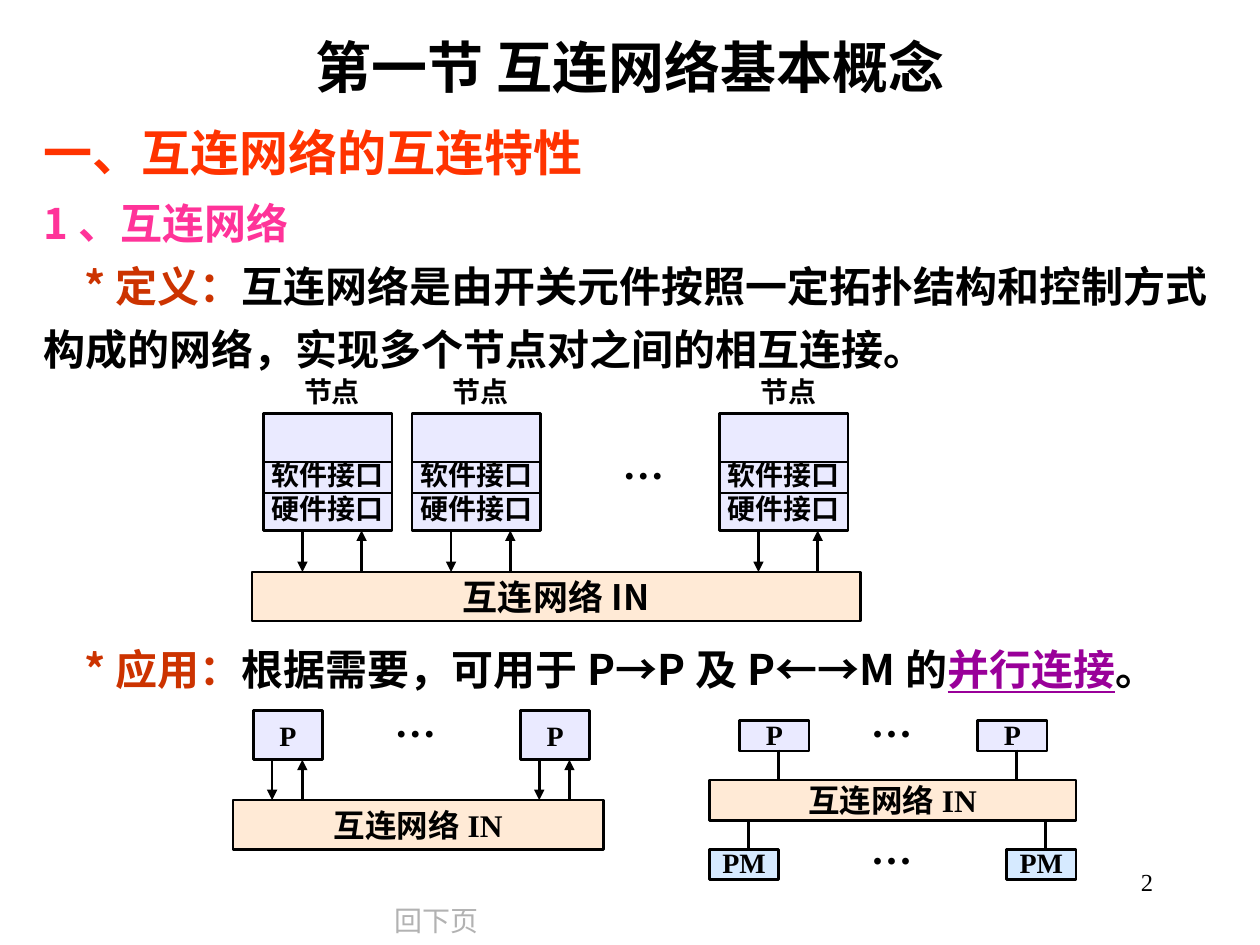
from dataclasses import dataclass

from lxml import etree
from pptx import Presentation
from pptx import util as u
from pptx.dml.color import RGBColor
from pptx.enum import shapes, text
from pptx.oxml import ns

LEFT, MID, RIGHT = text.PP_ALIGN.LEFT, text.PP_ALIGN.CENTER, text.PP_ALIGN.RIGHT


@dataclass(frozen=True)
class Theme:
    ink: str = "000000"
    head: str = "FF3300"
    topic: str = "FF3399"
    lead: str = "CC3300"
    key: str = "990099"
    faint: str = "B2B2B2"
    net: str = "FFCC99"
    node: str = "CCCCFF"
    mem: str = "99CCFF"
    sans: str = "Noto Sans CJK SC"
    serif: str = "Times New Roman"
    title: int = 32
    heading: int = 28
    body: int = 24
    bar: int = 20
    bus: int = 18
    label: int = 16
    number: int = 14
    edge: float = 1.5
    rule: float = 1.25


T = Theme()
WIDE, TIGHT = (0.1, 0.05), (0.02, 0.01)


def apply(obj, vals):
    for name, val in vals.items():
        setattr(obj, name, val)


def add_tag(parent, tag, **attrs):
    return etree.SubElement(parent, ns.qn(tag), **attrs)


def place(shape, at):
    names = ("left", "top", "width", "height")
    apply(shape, dict(zip(names, map(u.Inches, at))))


def add_run(para, words, size, color=T.ink, face=T.serif, **extra):
    run = para.add_run()
    run.text = words
    apply(run.font, {"name": face, "size": u.Pt(size), "bold": True, **extra})
    run.font.color.rgb = RGBColor.from_string(color)
    add_tag(run._r.get_or_add_rPr(), "a:ea", typeface=T.sans)


def write(shape, paras, pad=TIGHT, anchor=text.MSO_ANCHOR.TOP, wrap=True, **fmt):
    """Fill a shape; each paragraph is a list of (words, size, color, face) runs."""
    frame = shape.text_frame
    side, end = map(u.Inches, pad)
    apply(frame, {"margin_left": side, "margin_right": side, "margin_top": end,
                  "margin_bottom": end, "vertical_anchor": anchor,
                  "word_wrap": wrap, "auto_size": text.MSO_AUTO_SIZE.NONE})
    for i, runs in enumerate(paras):
        para = frame.add_paragraph() if i else frame.paragraphs[0]
        apply(para, {"alignment": LEFT, **fmt})
        for words, size, *look in runs:
            extra = look.pop() if len(look) == 3 else {}
            add_run(para, words, size, *look, **extra)


def add_text(slide, at, paras, **fmt):
    box = slide.shapes.add_textbox(*map(u.Inches, at))
    write(box, paras, **fmt)
    return box


def add_box(slide, at, color, words="", size=T.label, face=T.serif, **fmt):
    box = slide.shapes.add_shape(shapes.MSO_SHAPE.RECTANGLE, *map(u.Inches, at))
    box.shadow.inherit = False
    box.fill.solid()
    box.fill.fore_color.rgb = RGBColor.from_string(color)
    tint = box._element.spPr.find(ns.qn("a:solidFill"))[0]
    add_tag(tint, "a:alpha", val="40000")
    box.line.color.rgb = RGBColor.from_string(T.ink)
    box.line.width = u.Pt(T.edge)
    if words:
        write(box, [[(words, size, T.ink, face)]], alignment=MID,
              anchor=text.MSO_ANCHOR.MIDDLE, **fmt)


def add_line(slide, x, y, to_x, to_y, width=T.edge, arrow=False):
    line = slide.shapes.add_connector(shapes.MSO_CONNECTOR.STRAIGHT,
                                      *map(u.Inches, (x, y, to_x, to_y)))
    line.line.color.rgb = RGBColor.from_string(T.ink)
    line.line.width = u.Pt(width)
    props = line._element.spPr
    if arrow:
        add_tag(props.find(ns.qn("a:ln")), "a:tailEnd", type="triangle",
                w="med", len="med")
    add_tag(props, "a:effectLst")


def add_dots(slide, x, y, gap=0.9):
    add_text(slide, (x, y, 0.47, 0.4), [[("···", T.body)]], line_spacing=gap)


def add_pair(slide, x, gap, top, low):
    """One arrow down into the network and one back up."""
    add_line(slide, x, top, x, low, arrow=True)
    add_line(slide, x + gap, low, x + gap, top, arrow=True)


def add_node(slide, x):
    add_box(slide, (x, 3.28, 1.02, 0.93), T.node)
    add_text(slide, (x, 3.67, 1.02, 0.46),
             [[("软件接口", T.label)], [("硬件接口", T.label)]],
             anchor=text.MSO_ANCHOR.MIDDLE, alignment=MID)
    add_text(slide, (x + 0.23, 2.96, 0.63, 0.29), [[("节点", T.label)]],
             alignment=MID)
    for y in (3.67, 3.91):
        add_line(slide, x, y, x + 1.02, y, T.rule)
    add_pair(slide, x + 0.31, 0.47, 4.21, 4.54)


def add_words(slide):
    title = slide.shapes.title
    place(title, (0.92, 0.21, 8.17, 0.64))
    write(title, [[("第一节 互连网络基本概念", T.title, T.ink, T.sans)]],
          pad=WIDE, alignment=MID)
    add_text(slide, (0.25, 0.92, 9.5, 0.57),
             [[("一、互连网络的互连特性", T.heading, T.head)]], pad=WIDE)
    terms = add_text(slide, (0.25, 1.42, 9.5, 1.6), [
        [("1、互连网络", T.body, T.topic, T.sans)],
        [("*定义：", T.body, T.lead, T.sans),
         ("互连网络是由开关元件按照一定拓扑结构和控制方式构成的网络，"
          "实现多个节点对之间的相互连接。", T.body)],
    ], pad=WIDE, line_spacing=1.25)
    uses = add_text(slide, (0.25, 4.96, 9.5, 0.6), [
        [("*应用：", T.body, T.lead, T.sans),
         ("根据需要，可用于P→P及P←→M的", T.body, T.ink, T.sans),
         ("并行连接", T.body, T.key, T.sans, {"underline": True}),
         ("。", T.body, T.ink, T.sans)],
    ], pad=WIDE, line_spacing=1.25)
    for box in (terms, uses):
        para = box.text_frame.paragraphs[-1]
        para._p.get_or_add_pPr().set("indent", str(u.Inches(0.32)))
    plain = {"bold": False}
    add_text(slide, (3.11, 7.14, 0.7, 0.33),
             [[("回下页", T.label, T.faint, T.serif, plain)]],
             pad=(0.02, 0.03), wrap=False)
    add_text(slide, (7.17, 6.83, 2.08, 0.5),
             [[("2", T.number, T.ink, T.serif, plain)]], pad=WIDE, alignment=RIGHT)


def add_main(slide):
    add_box(slide, (2, 4.54, 4.83, 0.39), T.net, "互连网络IN", T.bar, T.sans)
    add_dots(slide, 4.92, 3.55, 1.0)
    for x in (2.09, 3.27, 5.71):
        add_node(slide, x)


def add_peers(slide):
    add_box(slide, (1.85, 6.35, 2.94, 0.39), T.net, "互连网络IN", T.bus)
    add_dots(slide, 3.11, 5.64)
    for x in (2.01, 4.13):
        add_box(slide, (x, 5.64, 0.55, 0.39), T.node, "P")
        add_pair(slide, x + 0.15, 0.24, 6.03, 6.35)


def add_memory(slide):
    add_box(slide, (5.63, 6.19, 2.91, 0.32), T.net, "互连网络IN", T.bus)
    for x, low_x in ((5.87, 5.63), (7.76, 7.99)):
        add_box(slide, (x, 5.72, 0.55, 0.24), T.node, "P", line_spacing=0.95)
        add_line(slide, x + 0.31, 5.95, x + 0.31, 6.19)
        add_box(slide, (low_x, 6.74, 0.55, 0.24), T.mem, "PM", line_spacing=0.95)
        add_line(slide, low_x + 0.31, 6.51, low_x + 0.31, 6.74)
    for y in (5.64, 6.65):
        add_dots(slide, 6.89, y)


def main():
    prs = Presentation()
    prs.slide_width, prs.slide_height = u.Inches(10), u.Inches(7.5)
    slide = prs.slides.add_slide(prs.slide_layouts[5])
    # Title, headings and running text
    add_words(slide)
    # Nodes on one network
    add_main(slide)
    # Processor to processor, then processor to memory
    add_peers(slide)
    add_memory(slide)
    prs.save("out.pptx")


if __name__ == "__main__":
    main()
